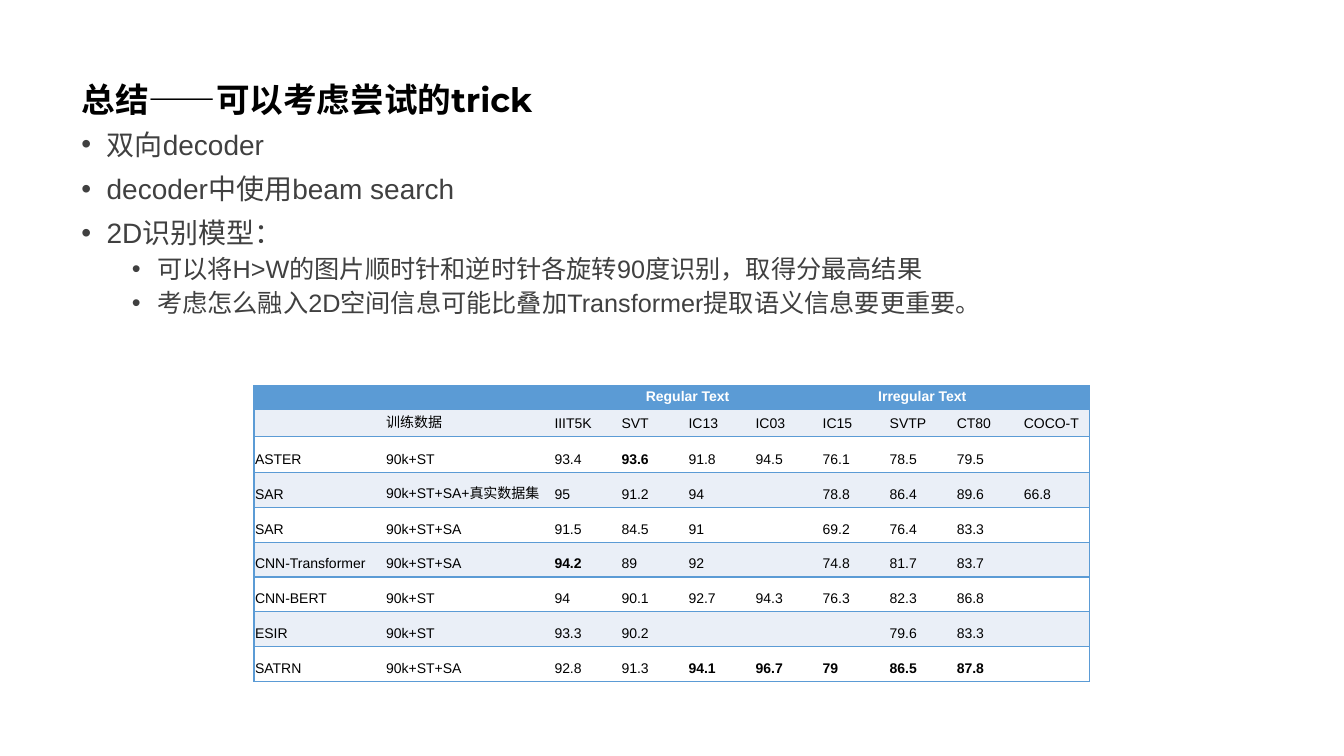
from lxml import etree
from pptx import Presentation
from pptx.dml.color import RGBColor
from pptx.enum import text
from pptx.oxml import ns
from pptx.util import Inches, Pt

BLUE, PALE, WHITE, BLACK, GREY = "5B9BD5", "EAEFF7", "FFFFFF", "000000", "404040"

POINTS = [
    (0, "双向decoder"),
    (0, "decoder中使用beam search"),
    (0, "2D识别模型："),
    (1, "可以将H>W的图片顺时针和逆时针各旋转90度识别，取得分最高结果"),
    (1, "考虑怎么融入2D空间信息可能比叠加Transformer提取语义信息要更重要。"),
]

RESULTS = [
    ["", "", "Regular Text", "", "", "", "Irregular Text", "", "", ""],
    ["", "训练数据", "IIIT5K", "SVT", "IC13", "IC03", "IC15", "SVTP", "CT80", "COCO-T"],
    ["ASTER", "90k+ST", "93.4", "93.6", "91.8", "94.5", "76.1", "78.5", "79.5", ""],
    ["SAR", "90k+ST+SA+真实数据集", "95", "91.2", "94", "", "78.8", "86.4", "89.6", "66.8"],
    ["SAR", "90k+ST+SA", "91.5", "84.5", "91", "", "69.2", "76.4", "83.3", ""],
    ["CNN-Transformer", "90k+ST+SA", "94.2", "89", "92", "", "74.8", "81.7", "83.7", ""],
    ["CNN-BERT", "90k+ST", "94", "90.1", "92.7", "94.3", "76.3", "82.3", "86.8", ""],
    ["ESIR", "90k+ST", "93.3", "90.2", "", "", "", "79.6", "83.3", ""],
    ["SATRN", "90k+ST+SA", "92.8", "91.3", "94.1", "96.7", "79", "86.5", "87.8", ""],
]
BEST = {(2, 3), (5, 2), (8, 4), (8, 5), (8, 6), (8, 7), (8, 8)}


def rgb(color):
    return RGBColor.from_string(color)


def format_runs(paragraph, size, color, bold=False, face="Arial"):
    for run in paragraph.runs:
        run.font.size = Pt(size)
        run.font.name = face
        run.font.bold = bold
        run.font.color.rgb = rgb(color)


def place_title(slide, left, top, width, height):
    title = slide.shapes.title
    title.left, title.top = Inches(left), Inches(top)
    title.width, title.height = Inches(width), Inches(height)
    title.text_frame.text = "总结——可以考虑尝试的trick"
    title.text_frame.vertical_anchor = text.MSO_ANCHOR.MIDDLE
    heading = title.text_frame.paragraphs[0]
    heading.alignment = text.PP_ALIGN.LEFT
    heading.line_spacing = 0.9
    format_runs(heading, 24, BLACK, True, "Montserrat")


def add_bullet(paragraph, indent):
    properties = paragraph._p.get_or_add_pPr()
    properties.set("marL", str(Inches(indent)))
    properties.set("indent", str(Inches(-0.25)))
    etree.SubElement(properties, ns.qn("a:buFont")).set("typeface", "Arial")
    etree.SubElement(properties, ns.qn("a:buChar")).set("char", "•")


def place_points(slide, left, top, width, height):
    points = slide.shapes.add_textbox(
        Inches(left), Inches(top), Inches(width), Inches(height)).text_frame
    points.word_wrap = True
    points.text = "\n".join(wording for _, wording in POINTS)
    for index, (level, _) in enumerate(POINTS):
        point = points.paragraphs[index]
        add_bullet(point, 0.25 + 0.5 * level)
        point.level = level
        point.line_spacing = 0.9
        point.space_before = Pt((5 if level else 10) if index else 0)
        format_runs(point, 18 if level else 20, GREY)


def set_borders(cell, left_edge, right_edge):
    properties = cell._tc.get_or_add_tcPr()
    sides = {"L": left_edge, "R": right_edge, "T": True, "B": True}
    for position, (side, visible) in enumerate(sides.items()):
        line = etree.Element(ns.qn(f"a:ln{side}"), w=str(Pt(1)))
        if visible:
            fill = etree.SubElement(line, ns.qn("a:solidFill"))
            etree.SubElement(fill, ns.qn("a:srgbClr")).set("val", BLUE)
        else:
            etree.SubElement(line, ns.qn("a:noFill"))
        properties.insert(position, line)


def fill_cell(cell, row, column, wording):
    header = row == 0
    cell.margin_left = cell.margin_right = cell.margin_top = Inches(0.01)
    cell.margin_bottom = Inches(0.05)
    cell.vertical_anchor = text.MSO_ANCHOR.BOTTOM
    cell.fill.solid()
    cell.fill.fore_color.rgb = rgb(BLUE if header else PALE if row % 2 else WHITE)
    set_borders(cell, column == 0, column == len(RESULTS[0]) - 1)
    if wording:
        cell.text_frame.text = wording
        entry = cell.text_frame.paragraphs[0]
        entry.alignment = text.PP_ALIGN.CENTER if header else text.PP_ALIGN.LEFT
        format_runs(entry, 10, WHITE if header else BLACK, header or (row, column) in BEST)
    else:
        blank = cell.text_frame.paragraphs[0]
        etree.SubElement(blank._p, ns.qn("a:endParaRPr")).set("sz", "1000")


def place_results(slide, left, top, width, height):
    results = slide.shapes.add_table(
        len(RESULTS), len(RESULTS[0]),
        Inches(left), Inches(top), Inches(width), Inches(height)).table
    labels = [1.3, 1.67]
    scores = len(RESULTS[0]) - len(labels)
    widths = labels + [(width - sum(labels)) / scores] * scores
    heads = [0.23, 0.27, 0.36]
    models = len(RESULTS) - len(heads)
    heights = heads + [(height - sum(heads)) / models] * models
    for column, column_width in zip(results.columns, widths):
        column.width = Inches(column_width)
    for row, row_height in zip(results.rows, heights):
        row.height = Inches(row_height)
    for row, entries in enumerate(RESULTS):
        for column, wording in enumerate(entries):
            fill_cell(results.cell(row, column), row, column, wording)
    for first, last in [(2, 5), (6, 8)]:
        results.cell(0, first).merge(results.cell(0, last))


def main():
    deck = Presentation()
    deck.slide_width, deck.slide_height = Inches(13.33), Inches(7.5)
    slide = deck.slides.add_slide(deck.slide_layouts[5])
    place_title(slide, 0.71, 0.28, 11.5, 1.45)
    place_points(slide, 0.71, 1.25, 11.5, 2.2)
    place_results(slide, 2.52, 3.83, 8.29, 2.93)
    deck.save("out.pptx")


if __name__ == "__main__":
    main()
